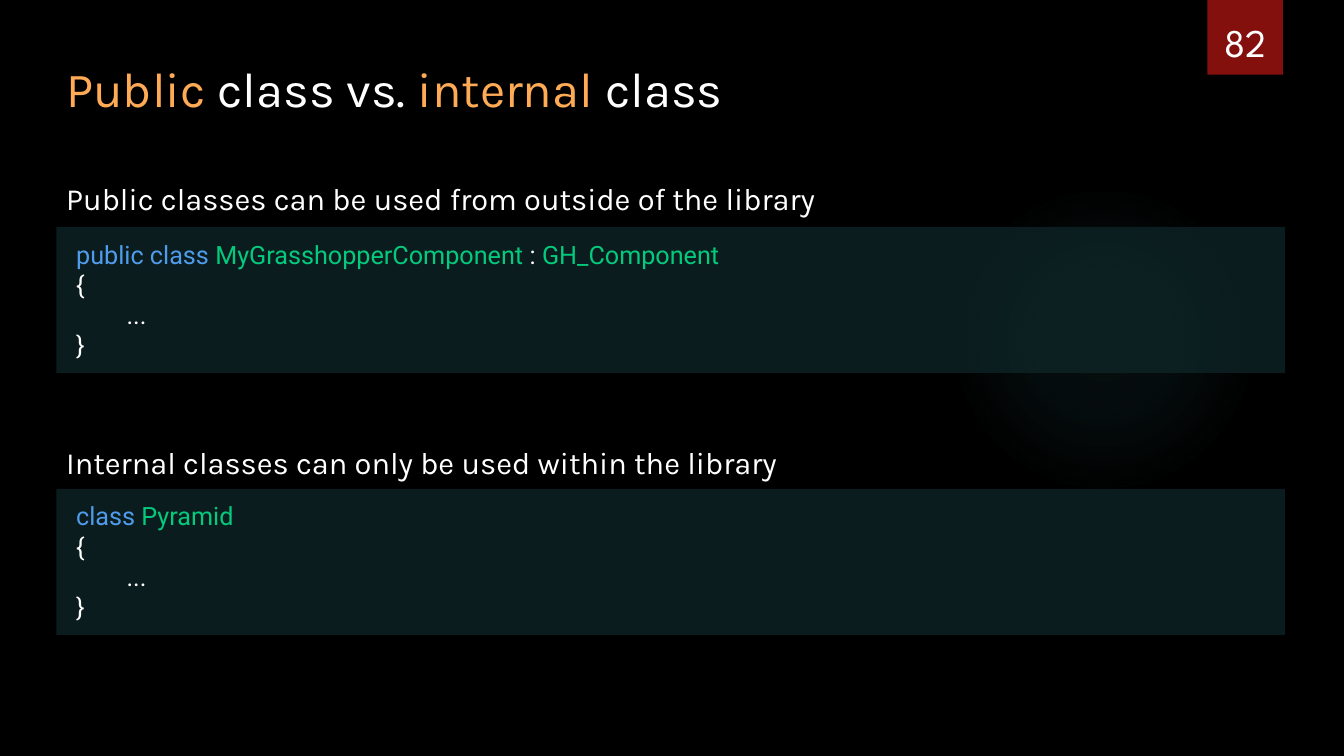
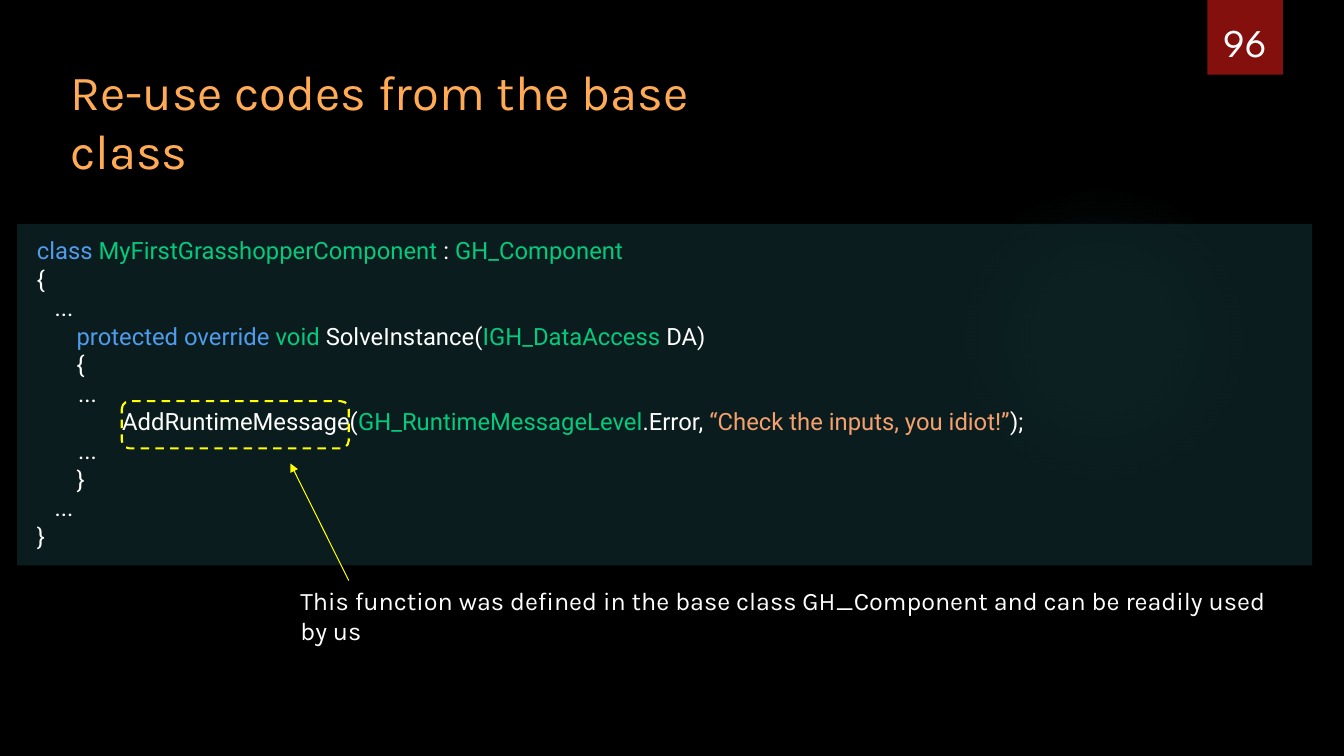
from pptx import Presentation
from pptx.dml.color import RGBColor
from pptx.enum.dml import MSO_LINE
from pptx.enum.shapes import MSO_CONNECTOR, MSO_SHAPE
from pptx.enum.text import MSO_ANCHOR, PP_ALIGN
from pptx.oxml import parse_xml
from pptx.oxml.ns import nsdecls, qn
from pptx.util import Cm, Pt

COLORS = {
    "background": "000000",
    "plain": "FFFFFF",
    "accent": "FFAA55",
    "badge": "84100E",
    "panel": "0F282A",
    "glow": "50B9C1",
    "keyword": "4F9CED",
    "type": "04CA7D",
    "string": "F4A16F",
    "callout": "FFFF00",
}
PANEL_ALPHA = 70
GLOW_STOPS = [(0, 7), (36, 6), (69, 0)]  # position and opacity, percent
PROSE, CODE, NUMBER = "Karla", "Roboto", "League Spartan"


def write_lines(frame, lines, font, size, tab=None):
    """Fill a frame; a line is a list of (text, colour key), tab is the stop step in cm."""
    frame.word_wrap = True
    for index, line in enumerate(lines):
        paragraph = frame.paragraphs[0] if index == 0 else frame.add_paragraph()
        paragraph.alignment = PP_ALIGN.LEFT
        if tab:
            stops = "".join(f'<a:tab pos="{Cm(tab * n)}" algn="l"/>' for n in (1, 2))
            paragraph._p.get_or_add_pPr().append(
                parse_xml(f'<a:tabLst {nsdecls("a")}>{stops}</a:tabLst>'))
        for text, color in line:
            run = paragraph.add_run()
            run.text = text
            run.font.name = font
            run.font.size = Pt(size)
            run.font.color.rgb = RGBColor.from_string(COLORS[color])


def add_plain_shape(slide, preset, box, fill=None):
    shape = slide.shapes.add_shape(preset, *map(Cm, box))
    shape.shadow.inherit = False
    shape.line.fill.background()
    if fill:
        shape.fill.solid()
        shape.fill.fore_color.rgb = RGBColor.from_string(COLORS[fill])
    else:
        shape.fill.background()
    return shape


body = [[("{", "plain")], [("\t...", "plain")], [("}", "plain")]]
outer_gap = [("   ...", "plain")]
inner_gap = [("       ...", "plain")]

# Prose: box in cm, size, runs. Panels: box in cm, size, tab step, lines.
pages = [
    {
        "number": "82",
        "prose": [
            ((1.42, 1.35, 28.8, 1.75), 35,
             [("Public ", "accent"), ("class vs.", "plain"),
              (" internal ", "accent"), ("class", "plain")]),
            ((1.42, 4.4, 28.8, 1.2), 22,
             [("Public classes can be used from outside of the library", "plain")]),
            ((1.42, 11.05, 28.8, 1.2), 22,
             [("Internal classes can only be used within the library", "plain")]),
        ],
        "panels": [
            ((1.42, 5.72, 30.96, 3.68), 18, 1.27,
             [[("public class ", "keyword"), ("MyGrasshopperComponent", "type"),
               (" : ", "plain"), ("GH_Component", "type")], *body]),
            ((1.42, 12.32, 30.96, 3.68), 18, 1.27,
             [[("class ", "keyword"), ("Pyramid", "type")], *body]),
        ],
    },
    {
        "number": "96",
        "prose": [
            ((1.52, 1.42, 18.67, 1.75), 35,
             [("Re-use codes from the base class", "accent")]),
            ((7.32, 14.63, 25.63, 1.02), 18,
             [("This function was defined in the base class GH_Component"
               " and can be readily used by us", "plain")]),
        ],
        "panels": [
            ((0.43, 5.64, 32.64, 8.61), 17, 1,
             [[("class ", "keyword"), ("MyFirstGrasshopperComponent", "type"),
               (" : ", "plain"), ("GH_Component", "type")],
              [("{", "plain")],
              outer_gap,
              [("\t", "plain"), ("protected override ", "keyword"), ("void ", "type"),
               ("SolveInstance(", "plain"), ("IGH_DataAccess", "type"),
               (" DA)", "plain")],
              [("\t{", "plain")],
              inner_gap,
              [("\t\t AddRuntimeMessage(", "plain"), ("GH_RuntimeMessageLevel", "type"),
               (".Error, ", "plain"), ("“Check the inputs, you idiot!”", "string"),
               (");", "plain")],
              inner_gap,
              [("\t}", "plain")],
              outer_gap,
              [("}", "plain")]]),
        ],
    },
]

prs = Presentation()
prs.slide_width, prs.slide_height = Cm(33.87), Cm(19.05)
backdrop = prs.slide_master.background.fill
backdrop.solid()
backdrop.fore_color.rgb = RGBColor.from_string(COLORS["background"])

for page in pages:
    slide = prs.slides.add_slide(prs.slide_layouts[6])

    glow = add_plain_shape(slide, MSO_SHAPE.OVAL, (23.9, 4.65, 7.82, 7.82))
    stops = "".join(
        f'<a:gs pos="{position * 1000}"><a:srgbClr val="{COLORS["glow"]}">'
        f'<a:alpha val="{opacity * 1000}"/></a:srgbClr></a:gs>'
        for position, opacity in GLOW_STOPS)
    no_fill = glow._element.spPr.find(qn("a:noFill"))
    no_fill.getparent().replace(no_fill, parse_xml(
        f'<a:gradFill {nsdecls("a")}><a:gsLst>{stops}</a:gsLst><a:path path="circle">'
        '<a:fillToRect l="50000" t="50000" r="50000" b="50000"/></a:path></a:gradFill>'))

    badge = add_plain_shape(slide, MSO_SHAPE.RECTANGLE, (30.43, 0, 1.9, 1.88), "badge")
    number = badge.text_frame
    write_lines(number, [[(page["number"], "plain")]], NUMBER, 28)
    number.paragraphs[0].alignment = PP_ALIGN.CENTER
    number.vertical_anchor = MSO_ANCHOR.BOTTOM
    number.margin_left = number.margin_right = number.margin_top = 0
    number.margin_bottom = Cm(0.23)

    for box, size, tab, lines in page["panels"]:
        panel = add_plain_shape(slide, MSO_SHAPE.RECTANGLE, box, "panel")
        tint = panel._element.spPr.find(qn("a:solidFill")).find(qn("a:srgbClr"))
        tint.append(parse_xml(f'<a:alpha {nsdecls("a")} val="{PANEL_ALPHA * 1000}"/>'))
        code = panel.text_frame
        code.vertical_anchor = MSO_ANCHOR.TOP
        code.margin_left = code.margin_right = Cm(0.5)
        code.margin_top = code.margin_bottom = Cm(0.3)
        write_lines(code, lines, CODE, size, tab)

    for box, size, runs in page["prose"]:
        prose = slide.shapes.add_textbox(*map(Cm, box))
        write_lines(prose.text_frame, [runs], PROSE, size)

# The call highlighted on the last slide, with an arrow from its explanation
highlight = add_plain_shape(slide, MSO_SHAPE.ROUNDED_RECTANGLE, (3.07, 10.11, 5.72, 1.19))
arrow = slide.shapes.add_connector(
    MSO_CONNECTOR.STRAIGHT, Cm(8.79), Cm(14.63), Cm(7.32), Cm(11.68))
for mark, width in ((highlight, 1.5), (arrow, 0.75)):
    mark.line.color.rgb = RGBColor.from_string(COLORS["callout"])
    mark.line.width = Pt(width)
highlight.line.dash_style = MSO_LINE.DASH
arrow.line._get_or_add_ln().append(
    parse_xml(f'<a:tailEnd {nsdecls("a")} type="triangle"/>'))
arrow._element.spPr.append(parse_xml(f'<a:effectLst {nsdecls("a")}/>'))

prs.save("out.pptx")
